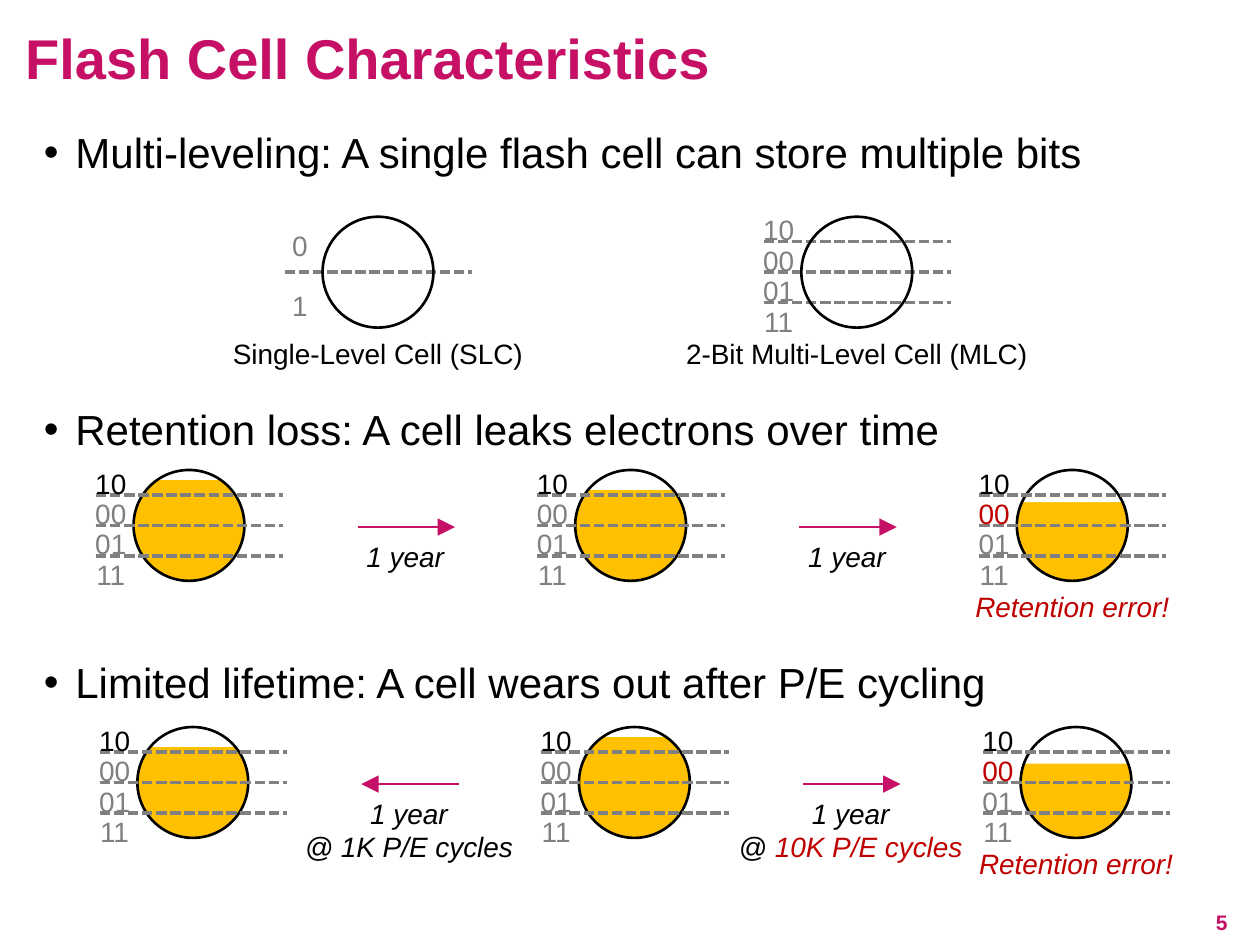
from dataclasses import dataclass

from lxml import etree
from pptx import Presentation
from pptx.dml.color import RGBColor
from pptx.enum.dml import MSO_LINE_DASH_STYLE
from pptx.enum.shapes import MSO_CONNECTOR_TYPE, MSO_SHAPE
from pptx.enum.text import MSO_ANCHOR, PP_ALIGN
from pptx.oxml.ns import qn
from pptx.util import Inches, Pt

SYS_DASH = MSO_LINE_DASH_STYLE.SQUARE_DOT
STRAIGHT = MSO_CONNECTOR_TYPE.STRAIGHT
OVAL, RECTANGLE = MSO_SHAPE.OVAL, MSO_SHAPE.RECTANGLE
MIDDLE = MSO_ANCHOR.MIDDLE
LEFT, CENTER, RIGHT = PP_ALIGN.LEFT, PP_ALIGN.CENTER, PP_ALIGN.RIGHT


@dataclass(frozen=True)
class Theme:
    """Colours, font and type sizes of the slide."""
    font: str = "Arial"
    accent: str = "C61065"
    ink: str = "000000"
    muted: str = "808080"
    error: str = "C00000"
    charge: str = "FFC000"
    paper: str = "FFFFFF"
    title: int = 32
    bullet: int = 24
    label: int = 16
    page: int = 12


@dataclass(frozen=True)
class Cell:
    """A flash cell whose parts are placed as shares of its diameter."""
    left: float
    top: float
    diameter: float = 0.88

    def x(self, share):
        """Return a horizontal position."""
        return Inches(self.left + share * self.diameter)

    def y(self, share):
        """Return a vertical position."""
        return Inches(self.top + share * self.diameter)

    def size(self, share):
        """Return a length."""
        return Inches(share * self.diameter)


THEME = Theme()
COLUMN_PITCH = 3.505
LEVEL_PITCH = 0.275
GREY_BITS = [(bits, THEME.muted) for bits in ("10", "00", "01", "11")]
STORED_BITS = [("10", THEME.ink)] + GREY_BITS[1:]
ERROR_BITS = [STORED_BITS[0], ("00", THEME.error)] + GREY_BITS[2:]


def add_run(paragraph, words, size, color, bold=False, italic=False):
    """Add one formatted run."""
    run = paragraph.add_run()
    run.text = words
    font = run.font
    font.name, font.size, font.bold, font.italic = THEME.font, Pt(size), bold, italic
    font.color.rgb = RGBColor.from_string(color)


def add_title(slide, words, width):
    """Format and fill the title placeholder."""
    title = slide.shapes.title
    title.left, title.top, title.width, title.height = 0, 0, width, Inches(0.89)
    frame = title.text_frame
    frame.vertical_anchor = MIDDLE
    frame.margin_left = frame.margin_right = Inches(0.2)
    frame.margin_top, frame.margin_bottom = Inches(0.08), 0
    paragraph = frame.paragraphs[0]
    paragraph.alignment, paragraph.line_spacing = LEFT, 0.9
    add_run(paragraph, words, THEME.title, THEME.accent, bold=True)


def add_bullets(slide, points):
    """Add bullet points, each with its space before in points."""
    box = slide.shapes.add_textbox(Inches(0.25), Inches(1), Inches(9.42), Inches(6.08))
    frame = box.text_frame
    frame.word_wrap = True
    for index, (words, gap) in enumerate(points):
        paragraph = frame.add_paragraph() if index else frame.paragraphs[0]
        properties = paragraph._p.get_or_add_pPr()
        properties.set("marL", str(Inches(0.25)))
        properties.set("indent", str(-Inches(0.25)))
        etree.SubElement(properties, qn("a:buFont"), typeface=THEME.font)
        etree.SubElement(properties, qn("a:buChar"), char="•")
        paragraph.line_spacing, paragraph.space_before = 0.9, Pt(gap)
        add_run(paragraph, words, THEME.bullet, THEME.ink)


def add_label(slide, cell, center, top, width, lines, italic=False):
    """Add centred lines of coloured runs beside a cell."""
    box = slide.shapes.add_textbox(cell.x(center - width / 2), cell.y(top),
                                   cell.size(width), Inches(0.27 * len(lines)))
    frame = box.text_frame
    frame.word_wrap = True
    frame.margin_left = frame.margin_right = frame.margin_top = frame.margin_bottom = 0
    for index, runs in enumerate(lines):
        paragraph = frame.add_paragraph() if index else frame.paragraphs[0]
        paragraph.alignment = CENTER
        for words, color in runs:
            add_run(paragraph, words, THEME.label, color, italic=italic)


def add_line(slide, cell, start, end, height, color, weight):
    """Add a level line across a cell's frame and return it."""
    line = slide.shapes.add_connector(STRAIGHT, cell.x(start), cell.y(height),
                                      cell.x(end), cell.y(height))
    line.line.color.rgb = RGBColor.from_string(color)
    line.line.width = Pt(weight)
    etree.SubElement(line._element.spPr, qn("a:effectLst"))
    return line


def add_part(slide, cell, kind, left, top, width, height, fill=None):
    """Add a filled part of a cell, or an outline when there is no fill."""
    part = slide.shapes.add_shape(kind, cell.x(left), cell.y(top),
                                  cell.size(width), cell.size(height))
    part.shadow.inherit = False
    if fill:
        part.fill.solid()
        part.fill.fore_color.rgb = RGBColor.from_string(fill)
        part.line.fill.background()
    else:
        part.fill.background()
        part.line.color.rgb = RGBColor.from_string(THEME.ink)
        part.line.width = Pt(1.5)


def add_levels(slide, cell, levels):
    """Add the level names and the dashed thresholds between them."""
    step = 4 / len(levels)
    for index in range(1, len(levels)):
        threshold = add_line(slide, cell, -0.34, 1.35,
                             LEVEL_PITCH * index * step - 0.05, THEME.muted, 2)
        threshold.line.dash_style = SYS_DASH
    for index, level in enumerate(levels):
        row = index * step + (step - 1) / 2
        add_label(slide, cell, -0.205, LEVEL_PITCH * row - 0.035, 0.45, [[level]])


def add_empty_cell(slide, cell, levels, caption):
    """Add a cell without charge and name its type."""
    add_levels(slide, cell, levels)
    add_part(slide, cell, OVAL, 0, 0, 1, 1)
    add_label(slide, cell, 0.5, 1.08, 4.08, [[(caption, THEME.ink)]])


def add_charged_cell(slide, cell, levels, surface):
    """Add a cell charged up to the given share below its top."""
    add_part(slide, cell, OVAL, 0, 0, 1, 1, THEME.charge)
    add_part(slide, cell, RECTANGLE, -0.04, -0.05, 1.08, surface + 0.05, THEME.paper)
    add_part(slide, cell, OVAL, 0, 0, 1, 1)
    add_levels(slide, cell, levels)
    if levels is ERROR_BITS:
        add_label(slide, cell, 0.5, 1.08, 2.8,
                  [[("Retention error!", THEME.error)]], italic=True)


def add_aging(slide, cell, lines, backward=False):
    """Add an arrow to the right of a cell with the time that passes."""
    start, end = (2.9, 2.02) if backward else (2.02, 2.9)
    arrow = add_line(slide, cell, start, end, 0.515, THEME.accent, 1.5)
    etree.SubElement(arrow.line._get_or_add_ln(), qn("a:tailEnd"),
                     type="triangle", w="lg", len="lg")
    add_label(slide, cell, 2.45, 0.625, 2.53, lines, italic=True)


def add_page_number(slide, number):
    """Add the page number at the lower right."""
    box = slide.shapes.add_textbox(Inches(7.6), Inches(7.12), Inches(2.24), Inches(0.4))
    frame = box.text_frame
    frame.word_wrap, frame.vertical_anchor = True, MIDDLE
    frame.paragraphs[0].alignment = RIGHT
    add_run(frame.paragraphs[0], number, THEME.page, THEME.accent, bold=True)


def main():
    """Build the slide on flash cells."""
    deck = Presentation()
    deck.slide_width, deck.slide_height = Inches(10), Inches(7.5)
    slide = deck.slides.add_slide(deck.slide_layouts[5])
    add_title(slide, "Flash Cell Characteristics", deck.slide_width)
    add_bullets(slide, [
        ("Multi-leveling: A single flash cell can store multiple bits", 0),
        ("Retention loss: A cell leaks electrons over time", 132.3),
        ("Limited lifetime: A cell wears out after P/E cycling", 118.6)])

    single_bits = [("0", THEME.muted), ("1", THEME.muted)]
    add_empty_cell(slide, Cell(2.56, 1.72), single_bits, "Single-Level Cell (SLC)")
    add_empty_cell(slide, Cell(6.36, 1.72), GREY_BITS, "2-Bit Multi-Level Cell (MLC)")

    year = [("1 year", THEME.ink)]
    mild_wear = [year, [("@ 1K P/E cycles", THEME.ink)]]
    heavy_wear = [year, [("@ ", THEME.ink), ("10K P/E cycles", THEME.error)]]
    states = (STORED_BITS, STORED_BITS, ERROR_BITS)
    for left, top, surfaces, agings in (
            (1.06, 3.73, (0.09, 0.18, 0.29), (([year], False), ([year], False))),
            (1.09, 5.77, (0.18, 0.09, 0.33), ((mild_wear, True), (heavy_wear, False)))):
        cells = [Cell(left + COLUMN_PITCH * column, top) for column in range(3)]
        for cell, levels, surface in zip(cells, states, surfaces):
            add_charged_cell(slide, cell, levels, surface)
        for cell, (lines, backward) in zip(cells, agings):
            add_aging(slide, cell, lines, backward)

    add_page_number(slide, "5")
    deck.save("out.pptx")


if __name__ == "__main__":
    main()
